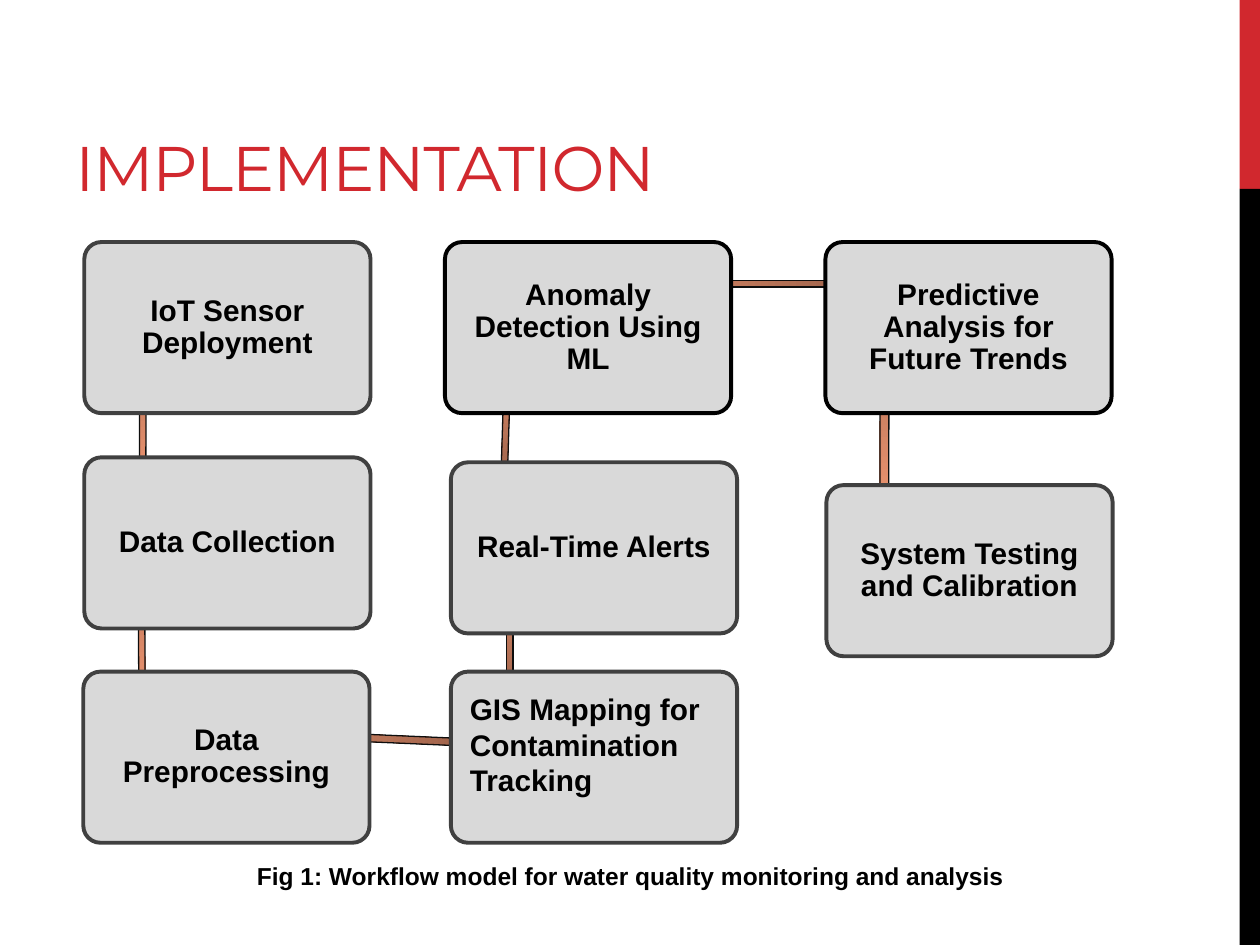
"""Build the implementation workflow slide."""
from copy import deepcopy

from pptx import Presentation
from pptx.dml.color import RGBColor as Rgb
from pptx.enum.shapes import MSO_SHAPE as Kind
from pptx.enum.text import MSO_ANCHOR as Anchor, PP_ALIGN as Align
from pptx.oxml.ns import qn
from pptx.util import Cm, Pt

TITLE = "IMPLEMENTATION"
NOTE = "Fig 1: Workflow model for water quality monitoring and analysis"
RED, BLACK, GRAY, DARK = "D1282E", "000000", "D9D9D9", "404040"
COPPER = ["905A44", "CC8061", "F29873"]
WIDE, HIGH, INSET = 5.77, 3.45, 0.28
EDGE = [(0, 3.81, RED), (3.81, 15.24, BLACK)]
GIS = "GIS Mapping for Contamination Tracking"
STEPS = [
    ("IoT Sensor Deployment", 1.7, 4.88, DARK),
    ("Data Collection", 1.7, 9.22, DARK),
    ("Data Preprocessing", 1.68, 13.54, DARK),
    (GIS, 9.09, 13.54, DARK),
    ("Real-Time Alerts", 9.09, 9.32, DARK),
    ("Anomaly Detection Using ML", 8.97, 4.88, BLACK),
    ("Predictive Analysis for Future Trends", 16.64, 4.88, BLACK),
    ("System Testing and Calibration", 16.66, 9.78, DARK),
]
BARS = [
    (0.58, 7.82, 4.6, 0.13, 270.1),
    (0.71, 12.17, 4.29, 0.13, 269.7),
    (2.54, 14.76, 7.7, 0.15, 2.5),
    (8.05, 12.22, 4.45, 0.13, 90),
    (7.98, 7.87, 4.47, 0.13, 91.8),
    (9.83, 5.66, 8.28, 0.13, 0),
    (15.39, 8.08, 4.88, 0.18, 270.1),
]


def tint(code):
    return Rgb.from_string(code)


def block(slide, kind, spot, fill=None, line=None, thick=0):
    item = slide.shapes.add_shape(kind, *map(Cm, spot))
    item.shadow.inherit = False
    if fill:
        item.fill.solid()
        item.fill.fore_color.rgb = tint(fill)
    if line:
        item.line.color.rgb = tint(line)
        item.line.width = Pt(thick)
    else:
        item.line.fill.background()
    return item


def write(item, text, size, face="Arial", color=BLACK, bold=True,
          align=Align.CENTER, anchor=Anchor.MIDDLE):
    frame = item.text_frame
    frame.word_wrap = True
    frame.vertical_anchor = anchor
    para = frame.paragraphs[0]
    para.text = text
    para.alignment = align
    font = para.font
    font.size, font.name, font.bold = Pt(size), face, bold
    font.color.rgb = tint(color)
    return para


def add_bar(slide, left, top, width, height, turn):
    bar = block(slide, Kind.RECTANGLE, (left, top, width, height),
                line="0D0D0D", thick=0.75)
    bar.rotation = turn
    bar.fill.gradient()
    bar.fill.gradient_angle = 180
    stops = bar._element.spPr.find(".//" + qn("a:gsLst"))
    stops.insert(1, deepcopy(stops[0]))
    for stop, code, pos in zip(bar.fill.gradient_stops, COPPER, (0, 0.5, 1)):
        stop.color.rgb = tint(code)
        stop.position = pos


def add_step(slide, text, left, top, line):
    box = block(slide, Kind.ROUNDED_RECTANGLE, (left, top, WIDE, HIGH),
                GRAY, line, 2.25)
    box.adjustments[0] = 0.1
    frame = box.text_frame
    frame.margin_left = frame.margin_right = Cm(INSET)
    frame.margin_top = frame.margin_bottom = Cm(INSET)
    if text == GIS:
        write(box, text, 17, align=Align.LEFT, anchor=Anchor.TOP)
    else:
        write(box, text, 17).line_spacing = 0.9


def main():
    deck = Presentation()
    deck.slide_width, deck.slide_height = Cm(25.4), Cm(19.05)
    slide = deck.slides.add_slide(deck.slide_layouts[6])
    for top, high, color in EDGE:
        block(slide, Kind.RECTANGLE, (24.99, top, 0.41, high), color)
    head = slide.shapes.add_textbox(Cm(1.27), Cm(0.43), Cm(16.08), Cm(3.81))
    para = write(head, TITLE, 36, "Montserrat", RED, False,
                 Align.LEFT, Anchor.BOTTOM)
    para.runs[0].font._element.set("spc", "-60")
    for bar in BARS:
        add_bar(slide, *bar)
    for step in STEPS:
        add_step(slide, *step)
    note = slide.shapes.add_textbox(Cm(3.61), Cm(17.22), Cm(18.21), Cm(0.86))
    write(note, NOTE, 14)
    deck.save("out.pptx")


if __name__ == "__main__":
    main()
